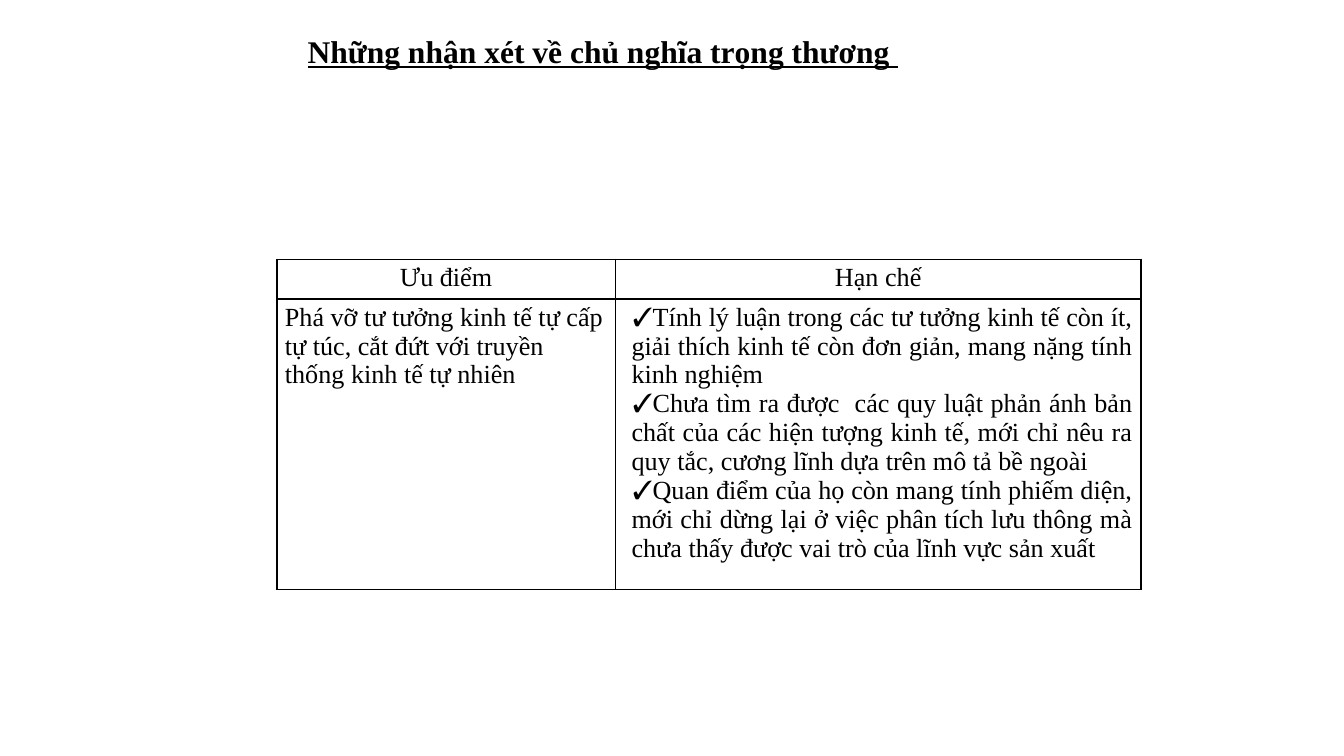
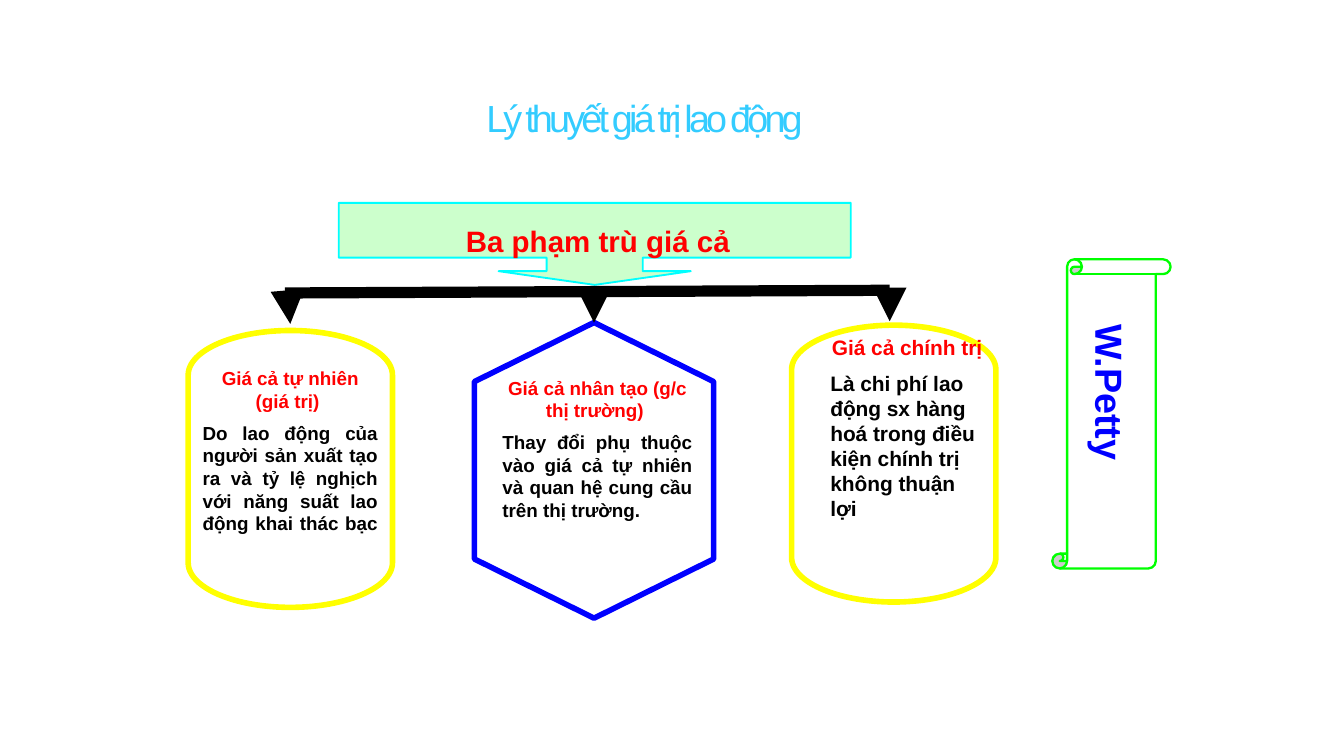
from lxml.etree import SubElement
from pptx import Presentation
from pptx.dml.color import RGBColor
from pptx.enum.shapes import MSO_CONNECTOR, MSO_SHAPE
from pptx.enum.text import PP_ALIGN
from pptx.oxml.ns import qn
from pptx.util import Inches, Pt

HUES = {
    "black": "000000", "white": "FFFFFF", "red": "FF0000", "blue": "0000FF",
    "yellow": "FFFF00", "green": "00FF00", "cyan": "00FFFF",
    "mint": "CCFFCC", "sky": "33CCFF", "navy": "000099",
}
SERIF, SANS = "Times New Roman", "Arial"


def write(para, text, size, hue="black", face=SANS, bold=True, align=None):
    """Add one styled run to a paragraph and return it."""
    if align is not None:
        para.alignment = align
    run = para.add_run()
    run.text = text
    run.font.size = Pt(size)
    run.font.name = face
    run.font.bold = bold
    run.font.color.rgb = RGBColor.from_string(HUES[hue])
    return run


def draw(slide, kind, spot, line, width, fill=None, turn=0):
    """Add one outlined preset shape and return it."""
    shape = slide.shapes.add_shape(kind, *map(Inches, spot))
    shape.shadow.inherit = False
    shape.rotation = turn
    shape.line.color.rgb = RGBColor.from_string(HUES[line])
    shape.line.width = Pt(width)
    if fill:
        shape.fill.solid()
        shape.fill.fore_color.rgb = RGBColor.from_string(HUES[fill])
    else:
        shape.fill.background()
    return shape


deck = Presentation()
deck.slide_width = Inches(10)
deck.slide_height = Inches(10) * 9 // 16
blank = deck.slide_layouts[6]

# Slide 1: strengths and limits
slide = deck.slides.add_slide(blank)
box = slide.shapes.add_textbox(*map(Inches, (2.19, 0.19, 4.69, 0.39)))
box.text_frame.word_wrap = True
para = box.text_frame.paragraphs[0]
for text, bold in (("Những nhận xét về chủ nghĩa trọng thương", True), (" ", False)):
    write(para, text, 16.9, face=SERIF, bold=bold).font.underline = True

limits = [
    "Tính lý luận trong các tư tưởng kinh tế còn ít, giải thích kinh tế còn "
    "đơn giản, mang nặng tính kinh nghiệm",
    "Chưa tìm ra được  các quy luật phản ánh bản chất của các hiện tượng kinh "
    "tế, mới chỉ nêu ra quy tắc, cương lĩnh dựa trên mô tả bề ngoài",
    "Quan điểm của họ còn mang tính phiếm diện, mới chỉ dừng lại ở việc phân "
    "tích lưu thông mà chưa thấy được vai trò của lĩnh vực sản xuất",
]
gain = ("Phá vỡ tư tưởng kinh tế tự cấp tự túc, cắt đứt với truyền thống "
        "kinh tế tự nhiên")
rows = [
    [(["Ưu điểm"], PP_ALIGN.CENTER), (["Hạn chế"], PP_ALIGN.CENTER)],
    [([gain], PP_ALIGN.LEFT), (limits, PP_ALIGN.JUSTIFY)],
]
table = slide.shapes.add_table(2, 2, *map(Inches, (2.06, 1.93, 6.43, 2.45))).table
table.first_row = table.horz_banding = False
for col, width in zip(table.columns, (2.52, 3.91)):
    col.width = Inches(width)
for row, height in zip(table.rows, (0.28, 2.16)):
    row.height = Inches(height)

for r, row in enumerate(rows):
    for c, (lines, align) in enumerate(row):
        cell = table.cell(r, c)
        cell.margin_left = cell.margin_right = Inches(0.06)
        cell.margin_top = cell.margin_bottom = Inches(0.03)
        props = cell._tc.get_or_add_tcPr()
        for side in ("a:lnL", "a:lnR", "a:lnT", "a:lnB"):
            edge = SubElement(props, qn(side), w=str(Pt(1)))
            paint = SubElement(edge, qn("a:solidFill"))
            SubElement(paint, qn("a:srgbClr"), val=HUES["black"])
        cell.fill.solid()
        cell.fill.fore_color.rgb = RGBColor.from_string(HUES["white"])
        frame = cell.text_frame
        for i, text in enumerate(lines):
            para = frame.add_paragraph() if i else frame.paragraphs[0]
            if lines is limits:
                props = para._p.get_or_add_pPr()
                props.set("marL", str(Inches(0.06)))
                props.set("indent", str(Inches(0.01)))
                SubElement(props, qn("a:buFont"), typeface=SERIF)
                SubElement(props, qn("a:buChar"), char="✓")
            write(para, text, 14, face=SERIF, bold=False, align=align)

# Slide 2: three kinds of price
slide = deck.slides.add_slide(blank)
draw(slide, MSO_SHAPE.VERTICAL_SCROLL, (7.83, 1.93, 0.88, 2.3), "green", 1.25, "white")
call = draw(slide, MSO_SHAPE.DOWN_ARROW_CALLOUT, (2.52, 1.51, 3.81, 0.61),
            "cyan", 1, "mint")
for i, part in enumerate((1.173, 1.173, 0.167, 0.667)):
    call.adjustments[i] = part

oval, hexa = MSO_SHAPE.FLOWCHART_TERMINATOR, MSO_SHAPE.FLOWCHART_PREPARATION
prices = [
    (oval, (1.13, 2.73, 2.06, 1.52), "yellow", (1.41, 2.68, 1.5, 1.38), 10.1,
     "Giá cả tự nhiên (giá trị) ", PP_ALIGN.JUSTIFY,
     "Do lao động của người sản xuất tạo ra và tỷ lệ nghịch với năng suất "
     "lao động khai thác bạc "),
    (hexa, (3.32, 2.61, 2.2, 1.78), "blue", (3.64, 2.75, 1.61, 1.21), 10.1,
     "Giá cả nhân tạo (g/c thị trường) ", PP_ALIGN.JUSTIFY,
     "Thay đổi phụ thuộc vào giá cả tự nhiên và quan hệ cung cầu trên thị trường."),
    (oval, (5.62, 2.69, 2.06, 1.52), "yellow", (6.08, 2.44, 1.34, 1.52), 11.2,
     "Giá cả chính trị", PP_ALIGN.LEFT,
     "Là chi phí lao động sx hàng hoá trong điều kiện chính trị không thuận lợi"),
]
for kind, spot, hue, area, size, name, align, text in prices:
    draw(slide, kind, spot, hue, 3, turn=90)
    frame = slide.shapes.add_textbox(*map(Inches, area)).text_frame
    frame.word_wrap = True
    write(frame.paragraphs[0], name, size, "red", align=PP_ALIGN.CENTER)
    para = frame.add_paragraph()
    para.space_before = Pt(size / 2)
    write(para, text, size, align=align)

links = [
    ((2.12, 2.18, 6.62, 2.16), False),
    ((2.14, 2.18, 2.16, 2.41), True),
    ((6.62, 2.16, 6.62, 2.39), True),
    ((4.42, 2.17, 4.42, 2.4), True),
]
for ends, arrow in links:
    link = slide.shapes.add_connector(MSO_CONNECTOR.STRAIGHT, *map(Inches, ends))
    link.line.color.rgb = RGBColor.from_string(HUES["black"])
    link.line.width = Pt(6)
    if arrow:
        SubElement(link.line._get_or_add_ln(), qn("a:tailEnd"), type="triangle")
    SubElement(link._element.spPr, qn("a:effectLst"))

labels = [
    ("Ba phạm trù giá cả", (2.89, 1.61, 3.12, 0.37), 15.8, "red", 0),
    ("W.Petty ", (7.33, 2.74, 1.86, 0.44), 20.2, "blue", 90),
]
for text, spot, size, hue, turn in labels:
    box = slide.shapes.add_textbox(*map(Inches, spot))
    box.rotation = turn
    box.text_frame.word_wrap = True
    write(box.text_frame.paragraphs[0], text, size, hue, align=PP_ALIGN.CENTER)

box = slide.shapes.add_textbox(*map(Inches, (2.76, 0.66, 4.07, 0.4)))
box.text_frame.word_wrap = False
run = write(box.text_frame.paragraphs[0], "Lý thuyết giá trị lao động", 20.2, "sky",
            bold=False, align=PP_ALIGN.CENTER)
props = run.font._element
props.set("spc", "-200")
edge = props.makeelement(qn("a:ln"), {"w": str(Pt(1))})
props.insert(0, edge)
paint = SubElement(edge, qn("a:solidFill"))
SubElement(paint, qn("a:srgbClr"), val=HUES["navy"])

deck.save("out.pptx")
